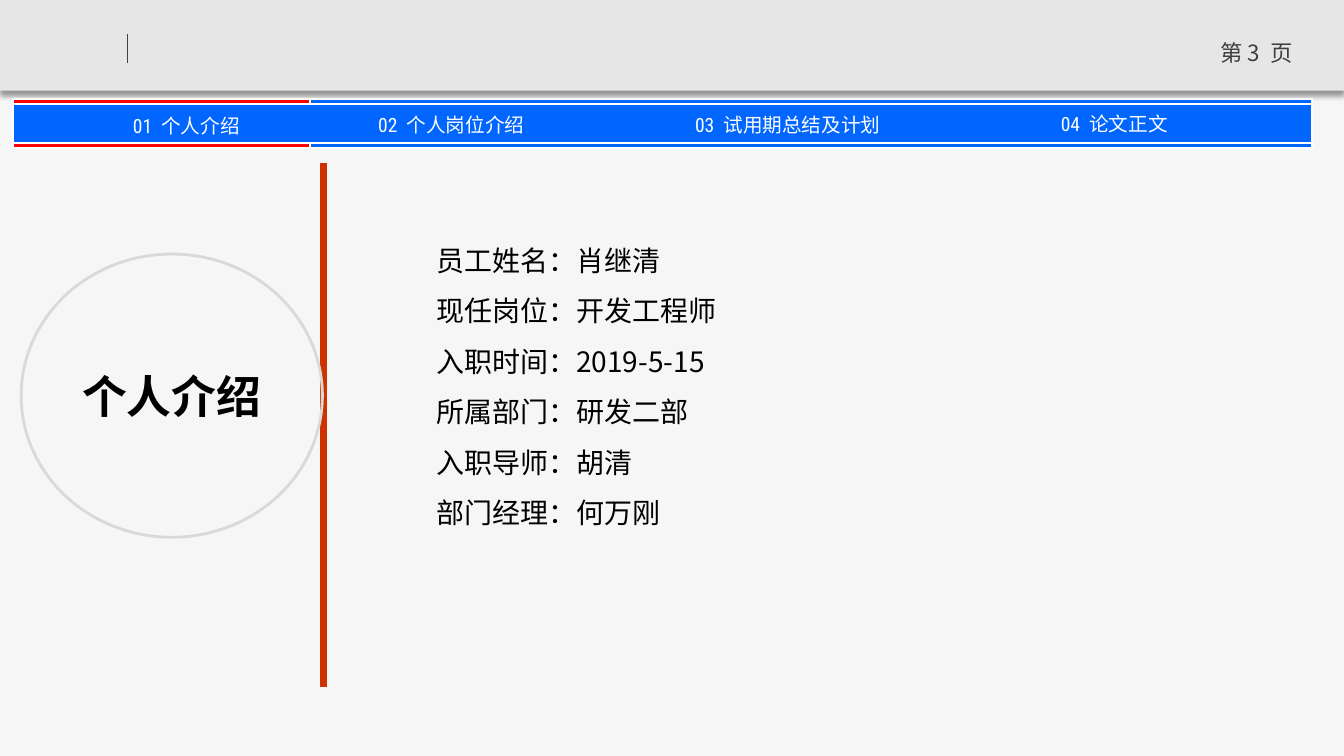
import pptx
import pptx.util
import pptx.dml.color
import pptx.enum.shapes
import pptx.enum.text
import pptx.oxml
import pptx.oxml.ns
import lxml.etree

Inches, Pt = pptx.util.Inches, pptx.util.Pt
RGBColor = pptx.dml.color.RGBColor
SHAPE = pptx.enum.shapes.MSO_SHAPE
ALIGN = pptx.enum.text.PP_ALIGN
ANCHOR = pptx.enum.text.MSO_ANCHOR
AUTO = pptx.enum.text.MSO_AUTO_SIZE
qn = pptx.oxml.ns.qn

PAPER = RGBColor(0xF6, 0xF6, 0xF6)
HEADER = RGBColor(0xE6, 0xE6, 0xE6)
DARK = RGBColor(0x40, 0x40, 0x40)
BLUE = RGBColor(0x00, 0x66, 0xFF)
RED = RGBColor(0xFF, 0x00, 0x00)
RUST = RGBColor(0xCC, 0x33, 0x00)
RING = RGBColor(0xD9, 0xD9, 0xD9)
WHITE = RGBColor(0xFF, 0xFF, 0xFF)
BLACK = RGBColor(0x00, 0x00, 0x00)
CJK = "Noto Sans CJK SC"


def add_block(shape, box, fill, line, width):
    """Add a preset shape; None leaves out the fill or the line."""
    sp = s.shapes.add_shape(shape, *[Inches(v) for v in box])
    sp.shadow.inherit = False
    if fill is None:
        sp.fill.background()
    else:
        sp.fill.solid()
        sp.fill.fore_color.rgb = fill
    if line is None:
        sp.line.fill.background()
    else:
        sp.line.color.rgb = line
        sp.line.width = Pt(width)
    return sp


def add_run(p, text, color, **font):
    """Add a run with its Latin and East Asian typefaces."""
    r = p.add_run()
    r.text = text
    for name, value in font.items():
        setattr(r.font, name, value)
    r.font.color.rgb = color
    ea = lxml.etree.SubElement(r.font._element, qn("a:ea"))
    ea.set("typeface", CJK)


prs = pptx.Presentation()
prs.slide_width, prs.slide_height = Inches(13.34), Inches(7.5)
s = prs.slides.add_slide(prs.slide_layouts[5])
s.background.fill.solid()
s.background.fill.fore_color.rgb = PAPER

# Header band with a soft shadow below
header = add_block(SHAPE.RECTANGLE, (0, 0, 13.34, 0.9), HEADER, None, 0)
effects = header._element.spPr.find(qn("a:effectLst"))
effects.append(pptx.oxml.parse_xml(
    '<a:outerShdw xmlns:a="http://schemas.openxmlformats.org/drawingml/2006/main"'
    ' blurRad="50800" dist="38100" dir="5400000" algn="t" rotWithShape="0">'
    '<a:srgbClr val="000000"><a:alpha val="40000"/></a:srgbClr></a:outerShdw>'))

# Navigation bar, blue edges, and red edges on the current section
edges = [(0.13, top, width, 0.05, color)
         for width, color in ((12.89, BLUE), (2.95, RED)) for top in (1.42, 0.98)]
for *box, color in [(0.13, 1.03, 12.89, 0.43, BLUE)] + edges:
    add_block(SHAPE.RECTANGLE, box, color, WHITE, 1.5)

# Header tick and vertical divider
for x, top, bottom, color, width in ((1.27, 0.34, 0.63, DARK, 0.75),
                                     (3.21, 1.62, 6.82, RUST, 4.5)):
    cx = s.shapes.add_connector(pptx.enum.shapes.MSO_CONNECTOR.STRAIGHT,
                                Inches(x), Inches(top), Inches(x), Inches(bottom))
    cx.line.color.rgb = color
    cx.line.width = Pt(width)
    lxml.etree.SubElement(cx._element.spPr, qn("a:effectLst"))

# Page number
tf = s.shapes.add_textbox(Inches(11.87), Inches(0.34), Inches(1.2), Inches(0.4)).text_frame
tf.word_wrap = True
p = tf.paragraphs[0]
p.alignment = ALIGN.CENTER
add_run(p, "第 3  页", DARK, size=Pt(16), name=CJK)

# Section labels
sections = [(0.61, 1.13, "01  ", "个人介绍"), (3.24, 1.12, "02  ", "个人岗位介绍"),
            (6.58, 1.12, "03  ", "试用期总结及计划"), (9.82, 1.11, "04  ", "论文正文")]
label_format = dict(margin_left=0, margin_right=0, margin_top=0, margin_bottom=0,
                    word_wrap=True, vertical_anchor=ANCHOR.MIDDLE,
                    auto_size=AUTO.SHAPE_TO_FIT_TEXT)
for left, top, number, label in sections:
    tf = s.shapes.add_textbox(Inches(left), Inches(top), Inches(2.48), Inches(0.24)).text_frame
    for name, value in label_format.items():
        setattr(tf, name, value)
    p = tf.paragraphs[0]
    p.alignment = ALIGN.CENTER
    add_run(p, number + label, WHITE, size=Pt(14), name="Roboto Condensed")

# Personal details
details = [("员工姓名", "肖继清"), ("现任岗位", "开发工程师"), ("入职时间", "2019-5-15"),
           ("所属部门", "研发二部"), ("入职导师", "胡清"), ("部门经理", "何万刚")]
tf = s.shapes.add_textbox(Inches(4.23), Inches(2.2), Inches(4.65), Inches(3.13)).text_frame
tf.word_wrap = True
tf.auto_size = AUTO.SHAPE_TO_FIT_TEXT
for i, (field, value) in enumerate(details):
    p = tf.add_paragraph() if i else tf.paragraphs[0]
    p.line_spacing = 1.5
    add_run(p, f"{field}：{value}", BLACK, size=Pt(20), name=CJK)

# Ring with the slide title at its centre
ring = add_block(SHAPE.OVAL, (0.21, 2.52, 2.99, 2.81), None, RING, 2)
title = s.shapes.title
for side in ("left", "top", "width", "height"):
    setattr(title, side, getattr(ring, side))
tf = title.text_frame
tf.vertical_anchor = ANCHOR.MIDDLE
tf.auto_size = AUTO.NONE
p = tf.paragraphs[0]
p.alignment = ALIGN.CENTER
add_run(p, "个人介绍", BLACK, size=Pt(32), name="Calibri", bold=True)

prs.save("out.pptx")
